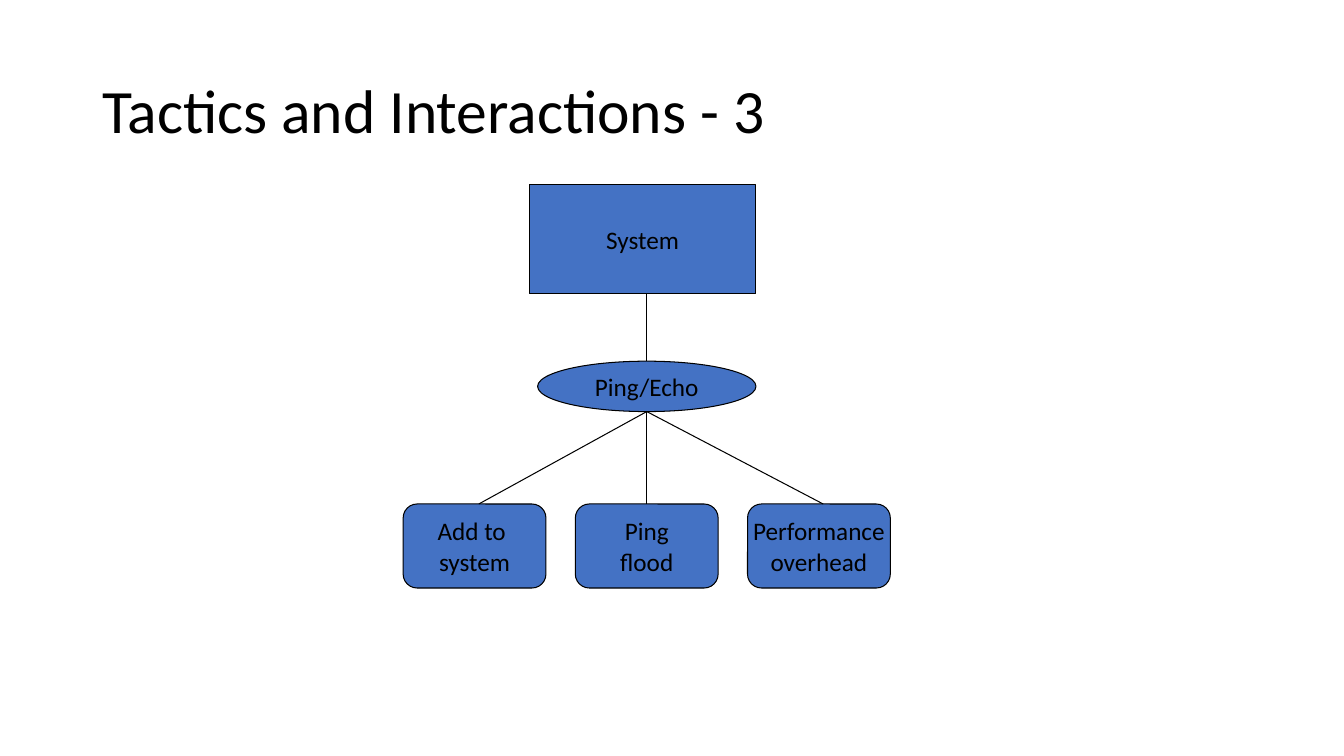
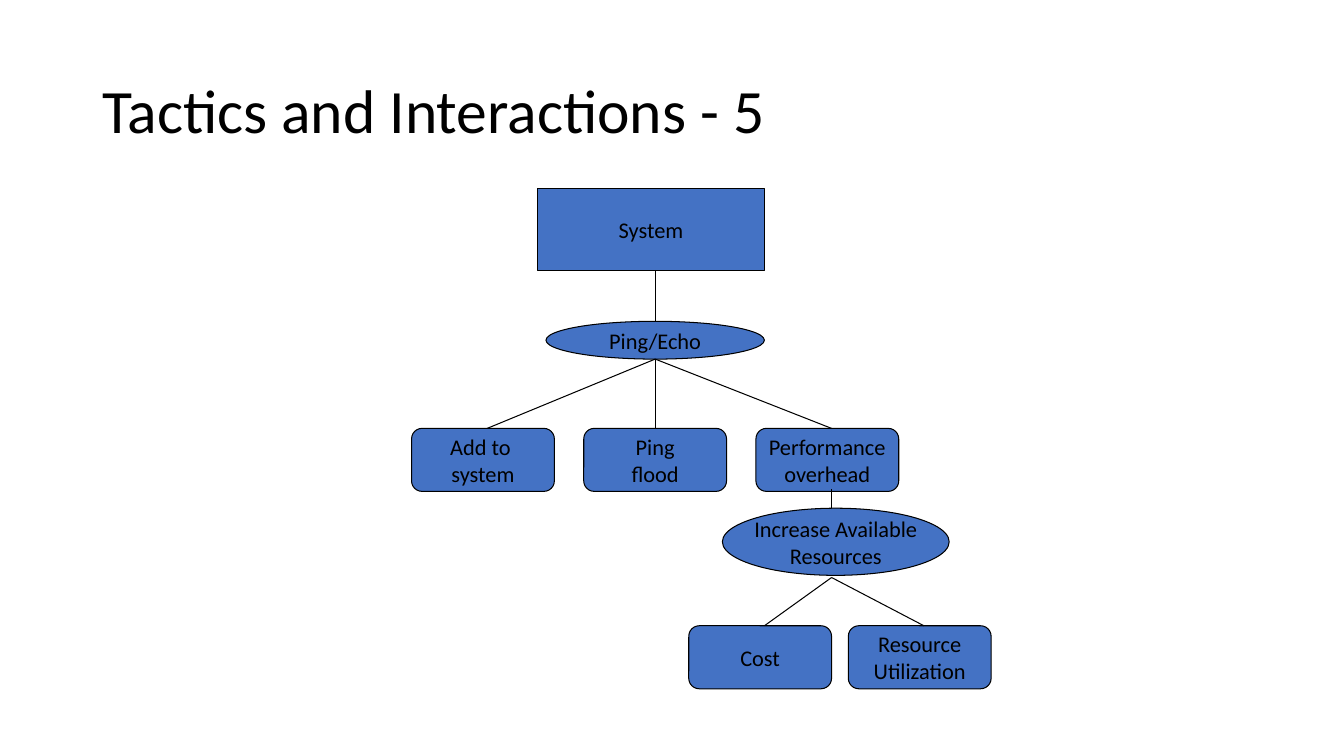
from dataclasses import dataclass

from lxml import etree
from pptx import Presentation
from pptx import util as u
from pptx.dml import color
from pptx.enum import shapes, text
from pptx.oxml import ns

COLORS = {"node": "4472C4", "ink": "000000"}
FONT = "Calibri"
LINE_WIDTH = 0.75
LEAF_WIDTH = 102
KINDS = {
    "rect": shapes.MSO_SHAPE.RECTANGLE,
    "oval": shapes.MSO_SHAPE.OVAL,
    "round": shapes.MSO_SHAPE.ROUNDED_RECTANGLE,
}


@dataclass(frozen=True)
class Node:
    kind: str
    label: str
    left: float
    top: float
    width: float
    height: float


@dataclass(frozen=True)
class Leaf:
    label: str
    joint: float = 54


@dataclass(frozen=True)
class Tree:
    left: float
    top: float
    scale: float
    size: float


TACTIC_LEAVES = (Leaf("Add to \nsystem"), Leaf("Ping\nflood", 51), Leaf("Performance\noverhead"))
RESOURCE_LEAVES = (Leaf("Cost"), Leaf("Resource\nUtilization"))


def rgb(name: str) -> color.RGBColor:
    return color.RGBColor.from_string(COLORS[name])


def write_text(frame, content: str, *, size: float, align, spacing: float = 1.0) -> None:
    frame.text = content
    frame.vertical_anchor = text.MSO_ANCHOR.MIDDLE
    for para in frame.paragraphs:
        para.alignment = align
        para.line_spacing = spacing
        para.font.name = FONT
        para.font.size = u.Pt(size)
        para.font.color.rgb = rgb("ink")


def style_line(line) -> None:
    line.color.rgb = rgb("ink")
    line.width = u.Pt(LINE_WIDTH)


def add_node(group, node: Node, size: float) -> None:
    box = group.shapes.add_shape(
        KINDS[node.kind], u.Pt(node.left), u.Pt(node.top), u.Pt(node.width), u.Pt(node.height)
    )
    box.shadow.inherit = False
    box.fill.solid()
    box.fill.fore_color.rgb = rgb("node")
    style_line(box.line)
    write_text(box.text_frame, node.label, size=size, align=text.PP_ALIGN.CENTER)
    box.text_frame.word_wrap = False


def add_line(group, start: tuple[float, float], end: tuple[float, float]) -> None:
    connector = group.shapes.add_connector(
        shapes.MSO_CONNECTOR.STRAIGHT, *(u.Pt(value) for value in start + end)
    )
    style_line(connector.line)
    properties = connector._element.spPr
    etree.SubElement(properties, ns.qn("a:effectLst"))


def add_leaves(
    group, leaves: tuple[Leaf, ...], start: tuple[float, float], *,
    left: float, top: float, step: float, height: float, size: float,
) -> None:
    for index, leaf in enumerate(leaves):
        leaf_left = left + index * step
        add_node(group, Node("round", leaf.label, leaf_left, top, LEAF_WIDTH, height), size)
        add_line(group, start, (leaf_left + leaf.joint, top))


def add_tactic_tree(group, tree: Tree) -> None:
    def down(distance: float) -> float:
        return tree.top + distance * tree.scale

    center = tree.left + 174
    system = Node("rect", "System", tree.left + 90, tree.top, 162, 78 * tree.scale)
    tactic = Node("oval", "Ping/Echo", tree.left + 96, down(126), 156, 36 * tree.scale)
    add_node(group, system, tree.size)
    add_line(group, (center, down(78)), (center, down(126)))
    add_node(group, tactic, tree.size)
    add_leaves(
        group, TACTIC_LEAVES, (center, down(162)),
        left=tree.left, top=down(228), step=123, height=60 * tree.scale, size=tree.size,
    )


def add_resource_branch(group, tree: Tree) -> None:
    center = tree.left + 300
    add_line(group, (center, 349.2), (center, 385.2))
    resources = Node("oval", "Increase Available\nResources", center - 78, 363, 162, 48)
    add_node(group, resources, tree.size)
    add_leaves(
        group, RESOURCE_LEAVES, (center, 412.5),
        left=center - LEAF_WIDTH, top=447, step=114, height=60 * tree.scale, size=tree.size,
    )


def add_page(deck, number: int, tree: Tree):
    page = deck.slides.add_slide(deck.slide_layouts[5])
    title = page.shapes.title
    title.left, title.top = u.Pt(66), u.Pt(28.75)
    title.width, title.height = u.Pt(828), u.Pt(104.4)
    write_text(
        title.text_frame, f"Tactics and Interactions - {number}",
        size=44, align=text.PP_ALIGN.LEFT, spacing=0.9,
    )
    group = page.shapes.add_group_shape()
    add_tactic_tree(group, tree)
    return group


def main() -> None:
    deck = Presentation()
    deck.slide_width, deck.slide_height = u.Pt(960), u.Pt(540)
    add_page(deck, 3, Tree(left=288, top=132, scale=1, size=18))
    detailed = Tree(left=294, top=135, scale=0.75, size=16)
    add_resource_branch(add_page(deck, 5, detailed), detailed)
    deck.save("out.pptx")


if __name__ == "__main__":
    main()
